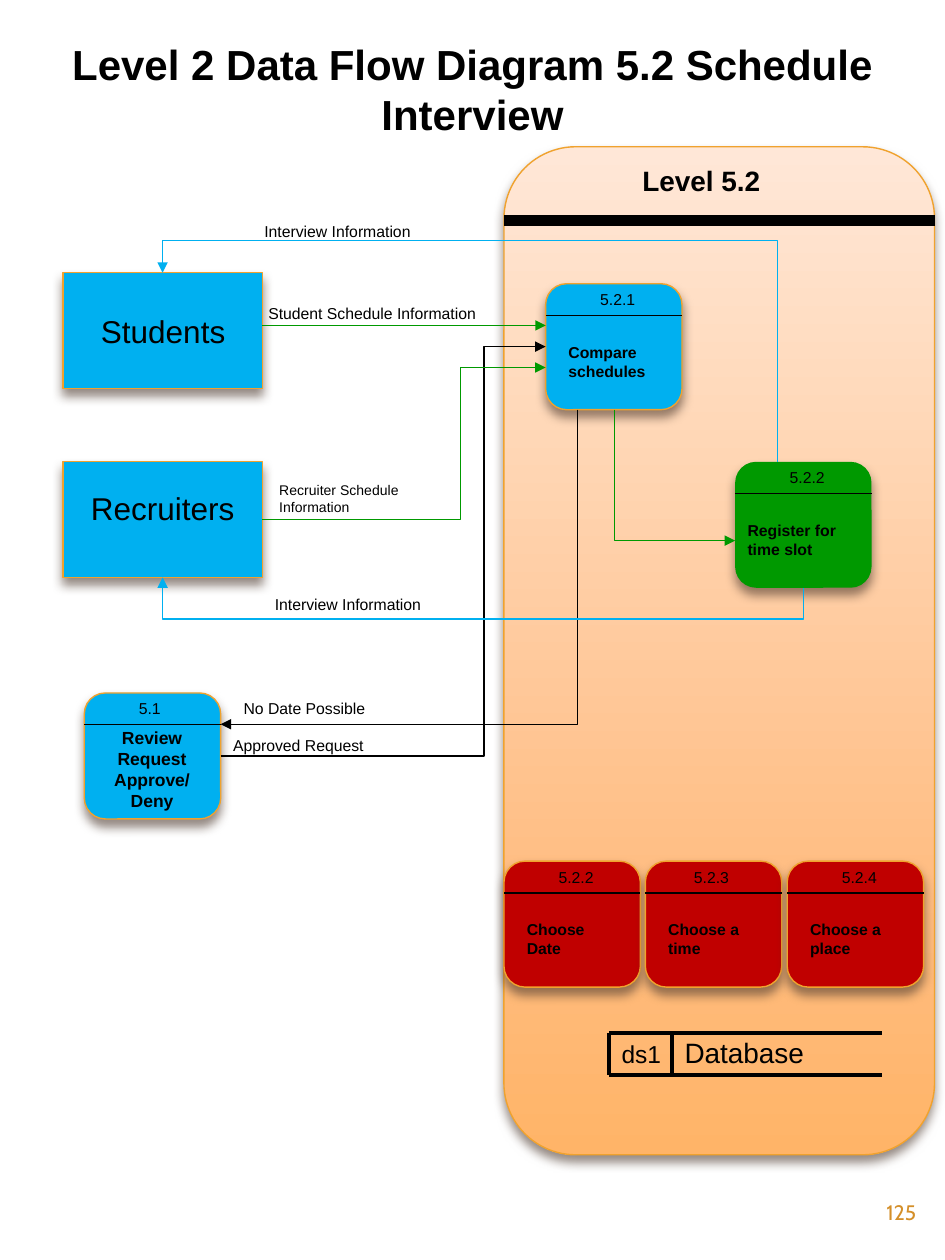
from copy import deepcopy

from lxml import etree
from pptx import Presentation
from pptx.dml.color import RGBColor
from pptx.enum.shapes import MSO_CONNECTOR, MSO_SHAPE
from pptx.enum.text import MSO_ANCHOR, MSO_AUTO_SIZE, PP_ALIGN
from pptx.oxml.ns import qn
from pptx.util import Cm, Pt

RECT, ROUND = MSO_SHAPE.RECTANGLE, MSO_SHAPE.ROUNDED_RECTANGLE
STRAIGHT, ELBOW = MSO_CONNECTOR.STRAIGHT, MSO_CONNECTOR.ELBOW
TOP, MIDDLE = MSO_ANCHOR.TOP, MSO_ANCHOR.MIDDLE
LEFT, CENTER, RIGHT = PP_ALIGN.LEFT, PP_ALIGN.CENTER, PP_ALIGN.RIGHT
NO_FIT = MSO_AUTO_SIZE.NONE

BLACK, BLUE, GREEN, RED = "000000", "00B0F0", "009900", "C00000"
GOLD, BROWN = "F0A22E", "4E3B30"


def paint(fill, color):
    fill.solid()
    fill.fore_color.rgb = RGBColor.from_string(color)


def write(words, left, top, width, height, box=None, size=9, bold=False,
          align=LEFT, anchor=TOP, wrap=True, font="Arial", color=BLACK):
    """Put words in the given box, or in a new text box."""
    place = [Cm(n) for n in (left, top, width, height)]
    box = box or slide.shapes.add_textbox(*place)
    box.left, box.top, box.width, box.height = place
    frame = box.text_frame
    frame.text = words
    frame.auto_size, frame.word_wrap = NO_FIT, wrap
    frame.vertical_anchor = anchor
    line = frame.paragraphs[0]
    line.alignment = align
    face = line.runs[0].font
    face.name, face.size, face.bold = font, Pt(size), bold
    paint(face.fill, color)


deck = Presentation()
deck.slide_width, deck.slide_height = Cm(19.05), Cm(25.4)
slide = deck.slides.add_slide(deck.slide_layouts[5])
write("Level 2 Data Flow Diagram 5.2 Schedule Interview", 0, 0.64, 19.05, 2.31,
      box=slide.shapes.title, size=24, bold=True, align=CENTER)

# left, top, fill, edge, number, its offset, label,
# label offset across and down, label width, size, alignment
steps = [
    (1.7, 13.97, BLUE, GOLD, "5.1", 0.85, "Review Request Approve/ Deny",
     0.2, 0.56, 2.33, 10, CENTER),
    (11, 5.72, BLUE, GOLD, "5.2.1", 0.85, "Compare schedules",
     0.21, 1.06, 2.12, 9, LEFT),
    (14.82, 9.31, GREEN, None, "5.2.2", 0.85, "Register for time slot",
     0, 1.06, 2.75, 9, LEFT),
    (10.16, 17.36, RED, GOLD, "5.2.2", 0.85, "Choose Date",
     0.21, 1.06, 2.12, 9, LEFT),
    (13.01, 17.36, RED, GOLD, "5.2.3", 0.73, "Choose a time",
     0.21, 1.06, 2.12, 9, LEFT),
    (15.87, 17.36, RED, GOLD, "5.2.4", 0.85, "Choose a place",
     0.21, 1.06, 2.12, 9, LEFT),
]

# Panel, outside parties and process boxes
boxes = [
    (ROUND, 10.16, 2.96, 8.68, 20.32, None, GOLD),
    (RECT, 1.27, 5.5, 4.02, 2.33, BLUE, GOLD),
    (RECT, 1.27, 9.31, 4.02, 2.33, BLUE, GOLD),
]
boxes += [(ROUND, x, y, 2.75, 2.54, fill, edge) for x, y, fill, edge, *_ in steps]
for kind, x, y, wide, high, fill, edge in boxes:
    box = slide.shapes.add_shape(kind, Cm(x), Cm(y), Cm(wide), Cm(high))
    if fill:
        paint(box.fill, fill)
    else:
        box.fill.gradient()
        box.fill.gradient_angle = 270
        stops = box._element.find(".//" + qn("a:gsLst"))
        stops.insert(1, deepcopy(stops[0]))
        shades = [(0, "FFE7D7"), (0.72, "FFBE84"), (1, "FFB468")]
        for stop, (spot, shade) in zip(box.fill.gradient_stops, shades):
            stop.position = spot
            stop.color.rgb = RGBColor.from_string(shade)
    if edge:
        paint(box.line.fill, edge)
        box.line.width = Pt(0.79)
    else:
        box.line.fill.background()
    box.shadow.inherit = False
    glow = etree.SubElement(
        box._element.spPr.find(qn("a:effectLst")), qn("a:outerShdw"),
        blurRad=str(Pt(6)), dist=str(Pt(4)), dir="5400000", rotWithShape="0")
    shade = etree.SubElement(glow, qn("a:srgbClr"), val=BROWN)
    etree.SubElement(shade, qn("a:alpha"), val="60000")

# Straight lines and flows: start, end, color, points, arrow,
# bend type, bend adjustments, and whether the bend starts upright
wires = [
    (10.16, 4.45, 18.84, 4.45, BLACK, 6, False, None, [], False),
    (12.28, 20.83, 12.28, 21.67, BLACK, 2.25, False, None, [], False),
    (13.55, 20.83, 13.55, 21.67, BLACK, 2.25, False, None, [], False),
    (12.28, 20.83, 17.78, 20.83, BLACK, 2.25, False, None, [], False),
    (12.28, 21.67, 17.78, 21.67, BLACK, 2.25, False, None, [], False),
    (5.29, 6.56, 11, 6.56, GREEN, 0.75, True, None, [], False),
    (4.45, 15.24, 11, 6.99, BLACK, 0.75, True, "bentConnector3", [0.81], False),
    (5.29, 10.47, 11, 7.41, GREEN, 0.75, True, "bentConnector3", [0.7], False),
    (12.39, 8.26, 14.82, 10.9, GREEN, 0.75, True, "bentConnector2", [], True),
    (11.64, 8.26, 4.45, 14.6, BLACK, 0.75, True, "bentConnector3", [0], False),
    (16.2, 11.85, 3.28, 11.64, BLUE, 0.75, True, "bentConnector3", [-3], True),
    (15.67, 9.31, 3.28, 5.5, BLUE, 0.75, True, "bentConnector4", [0, 1.17], False),
]
wires += [(x, y + 0.64, x + 2.75, y + 0.64, BLACK, 0.75, False, None, [], False)
          for x, y, *_ in steps]
for x1, y1, x2, y2, color, width, arrow, bend, bends, upright in wires:
    if upright:  # lay the ends down about their centre before the quarter turn
        midx, midy = (x1 + x2) / 2, (y1 + y2) / 2
        dx, dy = (x2 - x1) / 2, (y2 - y1) / 2
        x1, y1, x2, y2 = midx - dy, midy + dx, midx + dy, midy - dx
    wire = slide.shapes.add_connector(
        ELBOW if bend else STRAIGHT, Cm(x1), Cm(y1), Cm(x2), Cm(y2))
    paint(wire.line.fill, color)
    wire.line.width = Pt(width)
    props = wire._element.spPr
    etree.SubElement(props, qn("a:effectLst"))
    if arrow:
        etree.SubElement(props.find(qn("a:ln")), qn("a:tailEnd"), type="triangle")
    if upright:
        props.find(qn("a:xfrm")).set("rot", "5400000")
    if bend:
        shape = props.find(qn("a:prstGeom"))
        shape.set("prst", bend)
        for i, part in enumerate(bends, 1):
            name = "adj" if bend == "bentConnector2" else f"adj{i}"
            etree.SubElement(shape.find(qn("a:avLst")), qn("a:gd"),
                             name=name, fmla=f"val {round(part * 100000)}")

for x, y, _, _, number, shift, label, dx, dy, wide, size, align in steps:
    write(number, x + shift, y, 1.9, 0.64)
    write(label, x + dx, y + dy, wide, 1.02, size=size, bold=True, align=align)

write("Students", 1.7, 6.17, 3.18, 1.02, size=18, align=CENTER)
write("Recruiters", 1.27, 9.73, 4.02, 1.02, size=18, align=CENTER)
write("Level 5.2", 12.7, 3.18, 2.92, 0.94, size=16, bold=True, wrap=False)
write("ds1", 12.28, 20.83, 1.9, 0.84, size=14)
write("Database", 13.55, 20.75, 2.97, 0.94, size=16)

flows = [
    ("Interview Information", 5.08, 4.34),
    ("Student Schedule Information", 5.16, 5.99),
    ("Interview Information", 5.29, 11.86),
    ("No Date Possible", 4.66, 13.97),
    ("Approved Request", 4.45, 14.71),
]
for words, x, y in flows:
    write(words, x, y, 4.87, 0.64)
write("Recruiter Schedule Information", 5.38, 9.58, 3.6, 0.94, size=8)
write("125", 17.15, 23.98, 1.57, 0.91, size=12, align=RIGHT, anchor=MIDDLE,
      font="Cabin", color="D48F29")

deck.save("out.pptx")
